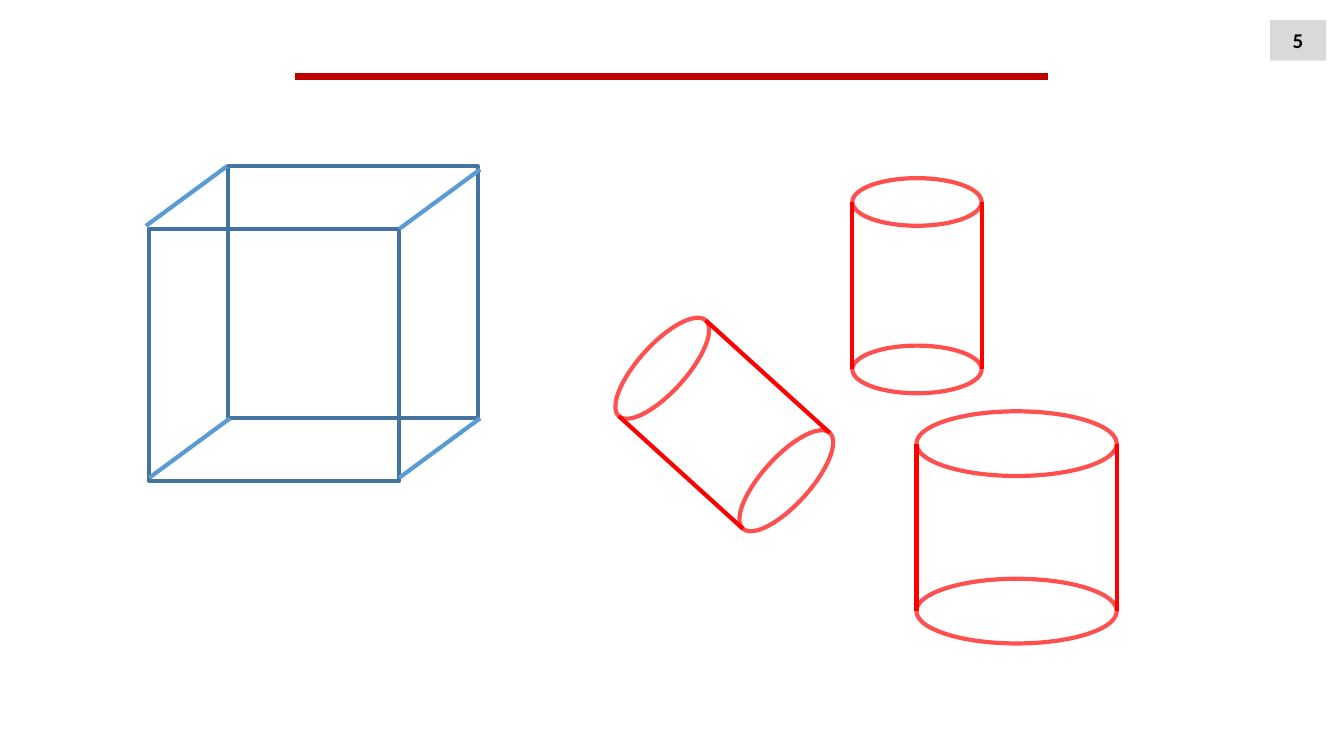
"""Build a slide with a wireframe cube and three wireframe cylinders."""
from dataclasses import dataclass
from math import cos, radians, sin

from lxml.etree import SubElement
from pptx import Presentation
from pptx.dml.color import RGBColor
from pptx.enum.shapes import MSO_CONNECTOR as Link, MSO_SHAPE as Preset
from pptx.enum.text import MSO_ANCHOR, PP_ALIGN
from pptx.oxml.ns import qn
from pptx.shapes.autoshape import Shape
from pptx.shapes.shapetree import SlideShapes
from pptx.util import Cm, Pt

DEPTH = 4.22
FACE_SIZE = (6.3, 6.35)
FACE_CORNERS = ((5.74, 4.19), (3.76, 5.77))
EDGE_STARTS = ((3.68, 5.69), (10.06, 5.77), (3.76, 12.04), (10.06, 12.04))
EDGE_RUN, EDGE_RISE = 2.04, 1.5


@dataclass(frozen=True)
class Cylinder:
    """A cylinder given by the centre and size of its top, and its tilt."""

    x: float
    y: float
    width: float
    height: float
    tilt: float = 0


CYLINDERS = (
    Cylinder(23.11, 5.09, 3.26, 1.2),
    Cylinder(16.69, 9.28, 3.26, 1.2, -47.8),
    Cylinder(25.62, 11.18, 5.05, 1.63),
)


def colour(code: str) -> RGBColor:
    """Turn a hex string into a colour."""
    return RGBColor.from_string(code)


def draw_line(shapes: SlideShapes, start: tuple[float, float],
              end: tuple[float, float], code: str, weight: float = 3) -> None:
    """Draw a straight line without shadow."""
    line = shapes.add_connector(Link.STRAIGHT, *map(Cm, start + end))
    line.line.color.rgb = colour(code)
    line.line.width = Pt(weight)
    SubElement(line._element.spPr, qn("a:effectLst"))


def draw_outline(shapes: SlideShapes, preset: Preset, left: float, top: float,
                 width: float, height: float, code: str) -> Shape:
    """Draw an unfilled shape with a coloured outline."""
    outline = shapes.add_shape(preset, *map(Cm, (left, top, width, height)))
    outline.shadow.inherit = False
    outline.fill.background()
    outline.line.color.rgb = colour(code)
    outline.line.width = Pt(3)
    return outline


def draw_cube(shapes: SlideShapes) -> None:
    """Draw the back and front faces and the four slanted edges."""
    for corner in FACE_CORNERS:
        draw_outline(shapes, Preset.RECTANGLE, *corner, *FACE_SIZE, "43739E")
    for x, y in EDGE_STARTS:
        draw_line(shapes, (x, y), (x + EDGE_RUN, y - EDGE_RISE), "5B9BD5")


def draw_cylinder(shapes: SlideShapes, cylinder: Cylinder) -> None:
    """Draw both ends and the two sides that join them."""
    across = cos(radians(cylinder.tilt)), sin(radians(cylinder.tilt))
    axis = -across[1] * DEPTH, across[0] * DEPTH
    for step in (0, 1):
        left = cylinder.x + step * axis[0] - cylinder.width / 2
        top = cylinder.y + step * axis[1] - cylinder.height / 2
        rim = draw_outline(shapes, Preset.OVAL, left, top,
                           cylinder.width, cylinder.height, "FF5050")
        rim.rotation = cylinder.tilt
    for radius in (-cylinder.width / 2, cylinder.width / 2):
        x = cylinder.x + radius * across[0]
        y = cylinder.y + radius * across[1]
        draw_line(shapes, (x, y), (x + axis[0], y + axis[1]), "FF0000")


def draw_page_number(shapes: SlideShapes) -> None:
    """Draw the grey box that holds the page number."""
    page_number = shapes.add_shape(
        Preset.RECTANGLE, Cm(32), Cm(0.51), Cm(1.42), Cm(1.02))
    page_number.shadow.inherit = False
    page_number.fill.solid()
    page_number.fill.fore_color.rgb = colour("D9D9D9")
    page_number.line.fill.background()
    frame = page_number.text_frame
    frame.text = "5"
    frame.vertical_anchor = MSO_ANCHOR.MIDDLE
    paragraph = frame.paragraphs[0]
    paragraph.alignment = PP_ALIGN.CENTER
    font = paragraph.runs[0].font
    font.name, font.size, font.bold = "Calibri", Pt(15), True
    font.color.rgb = colour("000000")


def main() -> None:
    """Build and save the slide."""
    deck = Presentation()
    deck.slide_width, deck.slide_height = Cm(33.87), Cm(19.05)
    shapes = deck.slides.add_slide(deck.slide_layouts[6]).shapes
    draw_line(shapes, (7.44, 1.93), (26.42, 1.93), "C00000", 4.5)
    draw_page_number(shapes)
    draw_cube(shapes)
    for cylinder in CYLINDERS:
        draw_cylinder(shapes, cylinder)
    deck.save("out.pptx")


if __name__ == "__main__":
    main()
